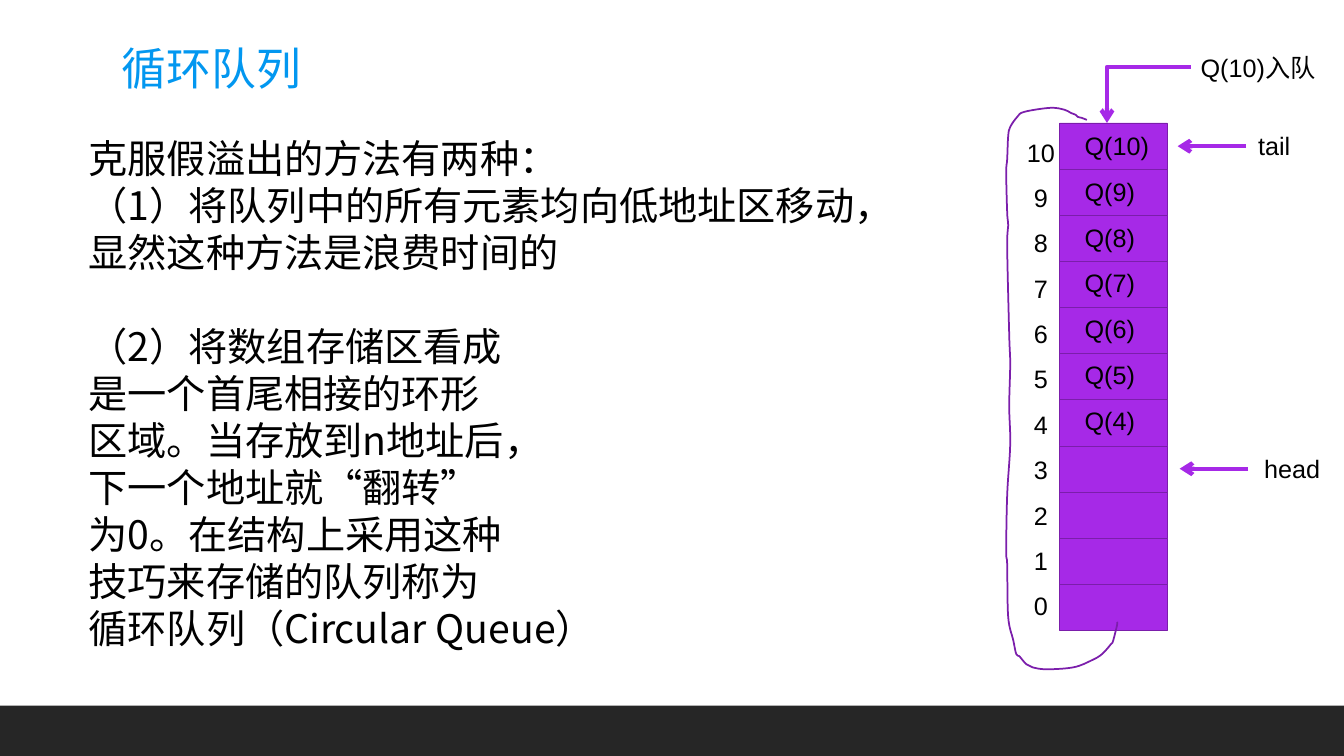
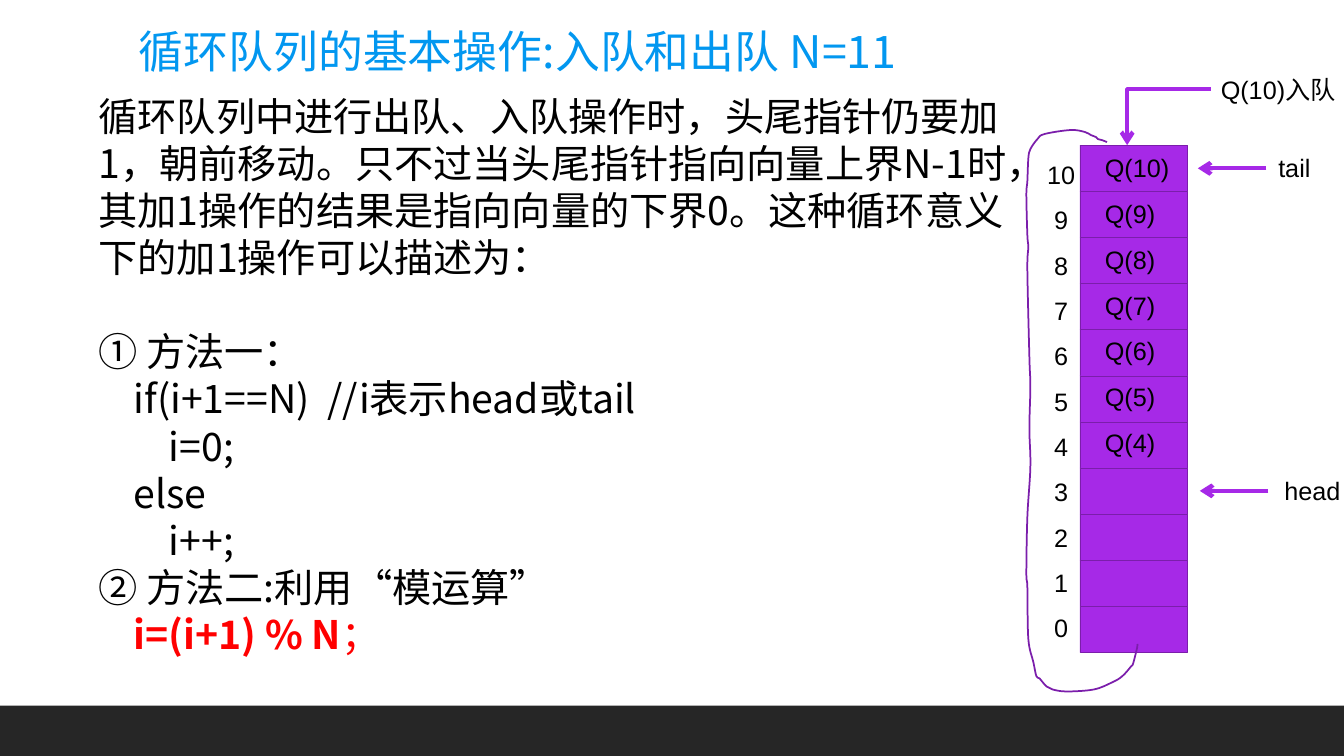
from pptx import Presentation, util as u
from pptx.dml.color import RGBColor
from pptx.enum import shapes, text
from pptx.oxml import ns, xmlchemy

BLACK = RGBColor(0x00, 0x00, 0x00)
BLUE = RGBColor(0x02, 0x97, 0xF0)
DARK = RGBColor(0x26, 0x26, 0x26)
PURPLE = RGBColor(0xA6, 0x29, 0xE7)
VIOLET = RGBColor(0x7B, 0x1E, 0xAB)
RED = RGBColor(0xFF, 0x00, 0x00)

SANS = "Noto Sans CJK SC"
TITLE = dict(name=SANS, size=u.Pt(32), color=BLUE)
BODY = dict(name=SANS, size=u.Pt(28), color=BLACK)
LABEL = dict(name="Arial", size=u.Pt(18), color=BLACK)

LOOP = [
    (10.78, 1.19), (10.73, 1.17), (10.69, 1.16), (10.67, 1.14), (10.62, 1.12),
    (10.56, 1.09), (10.42, 1.07), (10.16, 1.11), (10.09, 1.16), (10.02, 1.26),
    (10, 1.35), (9.99, 1.58), (9.98, 1.71), (9.99, 2.11), (10, 2.24),
    (9.99, 2.45), (10.01, 3.32), (10.02, 3.61), (10.01, 4.03), (10.02, 4.41),
    (9.99, 4.91), (9.98, 5.47), (9.99, 5.6), (10, 6.12), (10.05, 6.35),
    (10.08, 6.49), (10.11, 6.51), (10.18, 6.59), (10.24, 6.62), (10.38, 6.64),
    (10.65, 6.62), (10.83, 6.55), (10.93, 6.49), (11.02, 6.39), (11.04, 6.36),
    (11.08, 6.2), (11.08, 6.17),
]


def bend(outline):
    lines = list(outline.iter(ns.qn("a:lnTo")))
    start = next(outline.iter(ns.qn("a:moveTo")))
    spots = [(int(s[0].get("x")), int(s[0].get("y"))) for s in [start] + lines]
    ends = [spots[0]] + spots + [spots[-1]]
    for line, a, b, c, d in zip(lines, ends, ends[1:], ends[2:], ends[3:]):
        near = [q + (r - p) / 6 for p, q, r in zip(a, b, c)]
        far = [r - (s - q) / 6 for q, r, s in zip(b, c, d)]
        curve = xmlchemy.OxmlElement("a:cubicBezTo")
        for x, y in (near, far, c):
            spot = xmlchemy.OxmlElement("a:pt")
            spot.set("x", str(round(x)))
            spot.set("y", str(round(y)))
            curve.append(spot)
        line.getparent().replace(line, curve)


class Deck:
    def __init__(self):
        self.prs = Presentation()
        self.prs.slide_width = u.Inches(13.33)
        self.prs.slide_height = u.Inches(7.5)
        self.shapes = None

    def slide(self, title, left, top, width):
        self.shapes = self.prs.slides.add_slide(self.prs.slide_layouts[6]).shapes
        self.box(0, 7, 13.33, 0.5, DARK)
        self.text(left, top, width, 0.64, [title], TITLE, lead=38.4)

    def box(self, left, top, width, height, fill, edge=None):
        box = self.shapes.add_shape(
            shapes.MSO_SHAPE.RECTANGLE, *map(u.Inches, (left, top, width, height)))
        box.shadow.inherit = False
        box.fill.solid()
        box.fill.fore_color.rgb = fill
        if edge is None:
            box.line.fill.background()
        else:
            box.line.color.rgb = edge
            box.line.width = u.Pt(0.25)

    def run(self, par, words, style):
        run = par.add_run()
        run.text = words
        for key, value in style.items():
            if key == "color":
                run.font.color.rgb = value
            else:
                setattr(run.font, key, value)
        east = xmlchemy.OxmlElement("a:ea")
        east.set("typeface", SANS)
        run.font._element.find(ns.qn("a:latin")).addnext(east)

    def text(self, left, top, width, height, items, style, lead=None, gaps=(), align=None):
        frame = self.shapes.add_textbox(
            *map(u.Inches, (left, top, width, height))).text_frame
        frame.word_wrap = True
        for i, item in enumerate(items):
            par = frame.add_paragraph() if i else frame.paragraphs[0]
            par.alignment = align
            if lead:
                par.line_spacing = u.Pt(lead)
            if i in gaps:
                par.space_before = u.Pt(lead)
            parts = [(item, {})] if isinstance(item, str) else item
            for words, extra in parts:
                for n, line in enumerate(words.split("\n")):
                    if n:
                        par.add_line_break()
                    if line:
                        self.run(par, line, {**style, **extra})

    def body(self, left, top, width, height, items, gaps):
        self.text(left, top, width, height, items, BODY, lead=33.6, gaps=gaps)

    def arrow(self, x1, y1, x2, y2, bent=False):
        kind = shapes.MSO_CONNECTOR.ELBOW if bent else shapes.MSO_CONNECTOR.STRAIGHT
        link = self.shapes.add_connector(kind, *map(u.Inches, (x1, y1, x2, y2)))
        link.line.color.rgb = PURPLE
        link.line.width = u.Pt(3)
        tip = xmlchemy.OxmlElement("a:tailEnd")
        tip.set("type", "arrow")
        link.line._get_or_add_ln().append(tip)
        props = link._element.spPr
        props.append(xmlchemy.OxmlElement("a:effectLst"))
        if bent:
            props.find(ns.qn("a:prstGeom")).set("prst", "bentConnector2")

    def curve(self, knots):
        first, *rest = [(u.Inches(x), u.Inches(y)) for x, y in knots]
        pen = self.shapes.build_freeform(*first)
        pen.add_line_segments(rest, close=False)
        loop = pen.convert_to_shape()
        bend(loop._element)
        loop.shadow.inherit = False
        loop.fill.background()
        loop.line.color.rgb = VIOLET
        loop.line.width = u.Pt(1.25)

    def queue(self, dx=0, dy=0):
        def label(left, top, width, words):
            self.text(left + dx, top + dy, width, 0.4, [words], LABEL)

        for row in range(11):
            self.box(10.51 + dx, 1.22 + dy + row * 0.4575, 1.07, 0.46, PURPLE, VIOLET)
        self.text(10.06 + dx, 1.16 + dy, 0.53, 5.1, [str(n) for n in range(10, -1, -1)],
                  LABEL, lead=32.4, align=text.PP_ALIGN.CENTER)
        for row in range(7):
            label(10.66, 1.245 + row * 0.454, 1.3, f"Q({10 - row})")
        for name, left, top, tip, y in (("tail", 12.38, 1.24, 11.68, 1.45),
                                        ("head", 12.44, 4.45, 11.7, 4.65)):
            self.arrow(tip + 0.68 + dx, y + dy, tip + dx, y + dy)
            label(left, top, 0.97, name)
        self.arrow(11.81 + dx, 0.665 + dy, 10.98 + dx, 1.22 + dy, bent=True)
        label(11.81, 0.47, 1.43, "Q(10)入队")
        self.curve([(x + dx, y + dy) for x, y in LOOP])


def main():
    deck = Deck()
    deck.slide("循环队列", 1.11, 0.35, 3.63)
    deck.body(0.78, 1.28, 7.92, 5.28, [
        "克服假溢出的方法有两种：",
        "（1）将队列中的所有元素均向低地址区移动，显然这种方法是浪费时间的",
        "（2）将数组存储区看成",
        "是一个首尾相接的环形",
        "区域。当存放到n地址后，",
        "下一个地址就“翻转”",
        "为0。在结构上采用这种",
        "技巧来存储的队列称为",
        "循环队列（Circular Queue）",
    ], gaps=[2])
    deck.queue()

    deck.slide("循环队列的基本操作:入队和出队 N=11", 1.28, 0.19, 10.41)
    deck.body(0.88, 0.87, 9.44, 5.75, [
        "循环队列中进行出队、入队操作时，头尾指针仍要加1，朝前移动。"
        "只不过当头尾指针指向向量上界N-1时，其加1操作的结果是指向向量的下界0。"
        "这种循环意义下的加1操作可以描述为：",
        "① 方法一：\n    if(i+1==N)  //i表示head或tail",
        [("        i=0;\n    else\n        i++;\n② 方法二:利用“模运算”\n    ", {}),
         ("i=(i+1) % N", dict(color=RED, bold=True)),
         ("；", dict(color=RED))],
    ], gaps=[1])
    deck.queue(0.2, 0.22)
    deck.prs.save("out.pptx")


if __name__ == "__main__":
    main()
